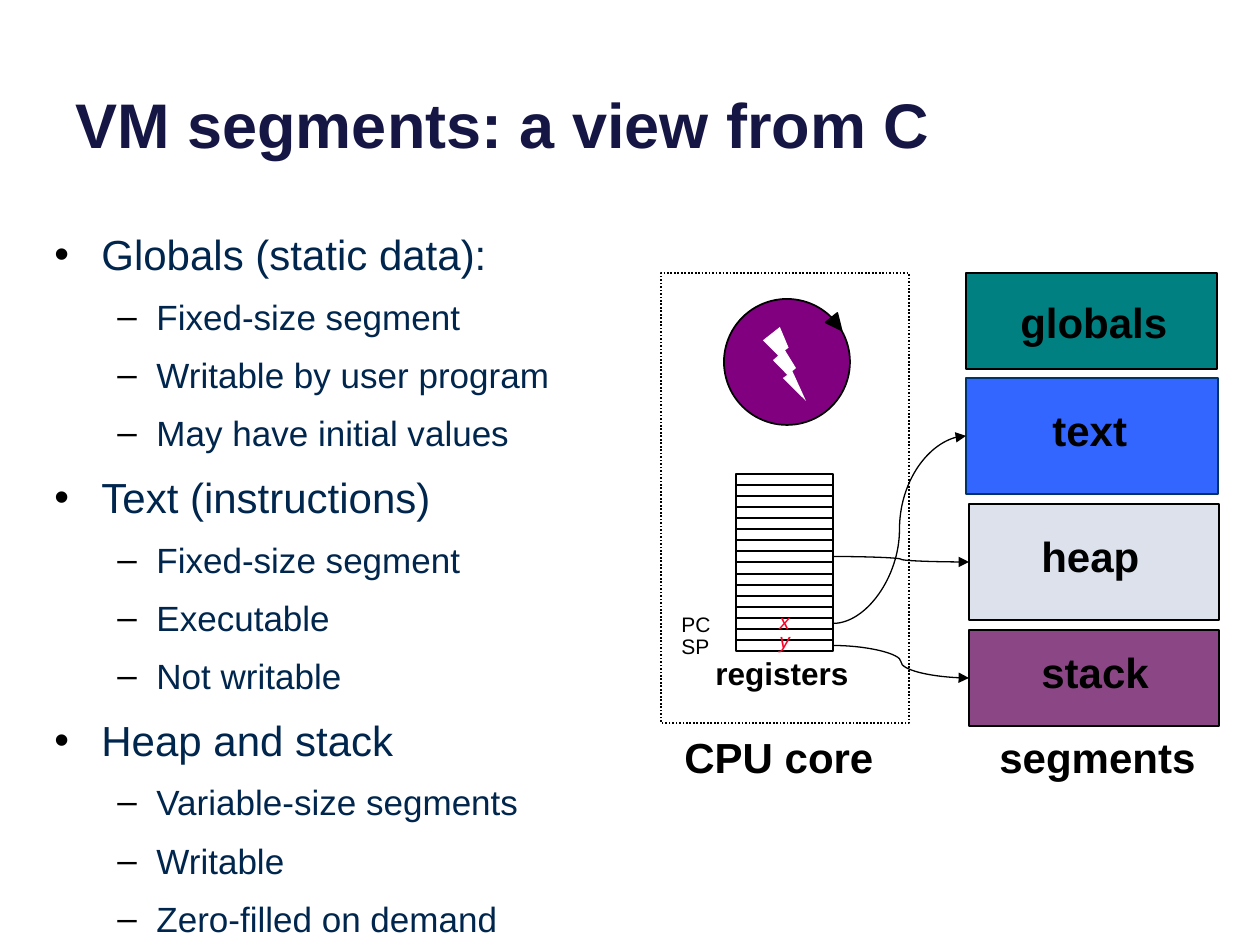
import dataclasses
import typing

import lxml.etree
import pptx
import pptx.dml.color
import pptx.enum.dml
import pptx.enum.shapes
import pptx.enum.text
import pptx.oxml.ns
import pptx.util

RGBColor = pptx.dml.color.RGBColor
ShapeType = pptx.enum.shapes.MSO_SHAPE
Align = pptx.enum.text.PP_ALIGN
Anchor = pptx.enum.text.MSO_ANCHOR

PIXELS_PER_INCH = 126
FONT = "Arial"
BLACK = RGBColor(0x00, 0x00, 0x00)
WHITE = RGBColor(0xFF, 0xFF, 0xFF)
NAVY = RGBColor(0x16, 0x16, 0x45)
BODY_BLUE = RGBColor(0x00, 0x26, 0x4D)
RED = RGBColor(0xFC, 0x01, 0x28)
PURPLE = RGBColor(0x80, 0x00, 0x80)
TEAL = RGBColor(0x00, 0x80, 0x80)
BLUE = RGBColor(0x33, 0x66, 0xFF)
DARK_BLUE = RGBColor(0x00, 0x33, 0x67)
PALE_GREY = RGBColor(0xDC, 0xE1, 0xEC)
PLUM = RGBColor(0x8B, 0x47, 0x85)

REGISTER_COUNT = 16
REGISTERS_TOP = 474
REGISTERS_HEIGHT = 177


class Box(typing.NamedTuple):
    left: int
    top: int
    width: int
    height: int


@dataclasses.dataclass(frozen=True)
class Segment:
    name: str
    box: Box
    label: Box
    fill: RGBColor
    line: RGBColor = BLACK


@dataclasses.dataclass(frozen=True)
class Label:
    text: str
    box: Box
    size: int = 24
    color: RGBColor = BLACK
    bold: bool = False
    italic: bool = False
    align: Align = Align.LEFT
    anchor: Anchor = Anchor.MIDDLE
    wrap: bool = False


class Pointer(typing.NamedTuple):
    register: int
    segment: str


SEGMENTS = [
    Segment("globals", Box(966, 273, 251, 96), Box(1008, 290, 199, 64), TEAL),
    Segment("text", Box(966, 378, 252, 116), Box(1040, 398, 199, 64), BLUE, DARK_BLUE),
    Segment("heap", Box(969, 504, 250, 116), Box(1029, 524, 136, 64), PALE_GREY),
    Segment("stack", Box(969, 630, 250, 96), Box(1029, 640, 136, 64), PLUM),
]
LABELS = [
    Label("registers", Box(702, 648, 160, 50), 18, bold=True, align=Align.CENTER),
    Label("PC", Box(669, 605, 55, 38), 12, anchor=Anchor.TOP),
    Label("SP", Box(669, 627, 54, 38), 12, anchor=Anchor.TOP),
    Label("x", Box(767, 602, 35, 38), 12, RED, italic=True, anchor=Anchor.TOP),
    Label("y", Box(767, 621, 35, 38), 12, RED, italic=True, align=Align.CENTER),
    Label("CPU core", Box(672, 725, 252, 64), bold=True, wrap=True),
    Label("segments", Box(987, 725, 252, 64), bold=True, wrap=True),
]
POINTERS = [Pointer(7, "heap"), Pointer(15, "stack"), Pointer(13, "text")]
OUTLINE = {
    "Globals (static data):": [
        "Fixed-size segment", "Writable by user program", "May have initial values"],
    "Text (instructions)": ["Fixed-size segment", "Executable", "Not writable"],
    "Heap and stack": ["Variable-size segments", "Writable", "Zero-filled on demand"],
}


def px(value: float) -> int:
    return round(value * pptx.util.Inches(1) / PIXELS_PER_INCH)


def scaled(box: Box) -> list[int]:
    return [px(value) for value in box]


def write_text(paragraph, text: str, *, size: int, color: RGBColor = BLACK,
               bold: bool = False, italic: bool = False,
               align: Align = Align.LEFT) -> None:
    paragraph.alignment = align
    run = paragraph.add_run()
    run.text = text
    font = run.font
    font.name, font.size = FONT, pptx.util.Pt(size)
    font.bold, font.italic = bold, italic
    font.color.rgb = color


def add_block(shapes, kind: ShapeType, box: Box, fill: RGBColor | None = None,
              line: RGBColor | None = BLACK):
    shape = shapes.add_shape(kind, *scaled(box))
    shape.shadow.inherit = False
    if fill is None:
        shape.fill.background()
    else:
        shape.fill.solid()
        shape.fill.fore_color.rgb = fill
    if line is None:
        shape.line.fill.background()
    else:
        shape.line.color.rgb = line
        shape.line.width = pptx.util.Pt(1)
    return shape


def add_label(slide, label: Label) -> None:
    frame = slide.shapes.add_textbox(*scaled(label.box)).text_frame
    frame.word_wrap = label.wrap
    frame.vertical_anchor = label.anchor
    write_text(frame.paragraphs[0], label.text, size=label.size, color=label.color,
               bold=label.bold, italic=label.italic, align=label.align)


def add_title(slide) -> None:
    title = slide.shapes.title
    title.left, title.top, title.width, title.height = scaled(Box(63, -47, 1134, 214))
    frame = title.text_frame
    frame.auto_size = pptx.enum.text.MSO_AUTO_SIZE.NONE
    frame.vertical_anchor = Anchor.BOTTOM
    write_text(frame.paragraphs[0], "VM segments: a view from C",
               size=36, color=NAVY, bold=True)


def add_bullet(paragraph, character: str, margin: int, hanging: int) -> None:
    properties = paragraph._p.get_or_add_pPr()
    properties.set("marL", str(px(margin)))
    properties.set("indent", str(-px(hanging)))
    qn = pptx.oxml.ns.qn
    color = lxml.etree.SubElement(properties, qn("a:buClr"))
    lxml.etree.SubElement(color, qn("a:srgbClr"), val=str(BLACK))
    lxml.etree.SubElement(properties, qn("a:buFont"), typeface=FONT)
    lxml.etree.SubElement(properties, qn("a:buChar"), char=character)


def add_outline(slide) -> None:
    frame = slide.shapes.add_textbox(*scaled(Box(42, 220, 661, 567))).text_frame
    frame.word_wrap = True
    lines = [(level, text) for heading, details in OUTLINE.items()
             for level, text in [(0, heading), *((1, detail) for detail in details)]]
    for index, (level, text) in enumerate(lines):
        paragraph = frame.add_paragraph() if index else frame.paragraphs[0]
        paragraph.level = level
        paragraph.line_spacing = 1.05
        paragraph.space_before = pptx.util.Pt((9, 8)[level])
        write_text(paragraph, text, size=(24, 20)[level], color=BODY_BLUE)
        add_bullet(paragraph, "•–"[level], (47, 102)[level], (47, 39)[level])


def add_processor(slide) -> None:
    shapes = slide.shapes.add_group_shape().shapes
    add_block(shapes, ShapeType.OVAL, Box(724, 299, 126, 126), PURPLE)
    add_block(shapes, ShapeType.LIGHTNING_BOLT, Box(763, 327, 43, 74), WHITE, None)
    arrow = add_block(shapes, ShapeType.ISOSCELES_TRIANGLE, Box(829, 316, 15, 16), BLACK)
    arrow.rotation = 141


def add_registers(slide) -> list:
    shapes = slide.shapes.add_group_shape().shapes
    edges = [REGISTERS_TOP + round(REGISTERS_HEIGHT * index / REGISTER_COUNT)
             for index in range(REGISTER_COUNT + 1)]
    return [add_block(shapes, ShapeType.FLOWCHART_PROCESS,
                      Box(736, top, 97, bottom - top), WHITE)
            for top, bottom in zip(edges, edges[1:])]


def add_pointer(slide, register, segment) -> None:
    connector = slide.shapes.add_connector(
        pptx.enum.shapes.MSO_CONNECTOR.CURVE, 0, 0, 0, 0)
    connector.begin_connect(register, 3)
    connector.end_connect(segment, 1)
    connector.line.color.rgb = BLACK
    connector.line.width = pptx.util.Pt(0.75)
    qn = pptx.oxml.ns.qn
    lxml.etree.SubElement(connector.line._get_or_add_ln(), qn("a:tailEnd"), type="triangle")
    lxml.etree.SubElement(connector._element.spPr, qn("a:effectLst"))


def main() -> None:
    presentation = pptx.Presentation()
    presentation.slide_width = px(1260)
    presentation.slide_height = px(945)
    slide = presentation.slides.add_slide(presentation.slide_layouts[5])
    add_title(slide)
    add_outline(slide)
    blocks = {}
    for segment in SEGMENTS:
        blocks[segment.name] = add_block(
            slide.shapes, ShapeType.FLOWCHART_PROCESS, segment.box, segment.fill, segment.line)
        add_label(slide, Label(segment.name, segment.label, bold=True, wrap=True))
    add_processor(slide)
    registers = add_registers(slide)
    core = add_block(slide.shapes, ShapeType.RECTANGLE, Box(661, 273, 248, 450))
    core.line.dash_style = pptx.enum.dml.MSO_LINE.ROUND_DOT
    for label in LABELS:
        add_label(slide, label)
    for pointer in POINTERS:
        add_pointer(slide, registers[pointer.register], blocks[pointer.segment])
    presentation.save("out.pptx")


if __name__ == "__main__":
    main()
